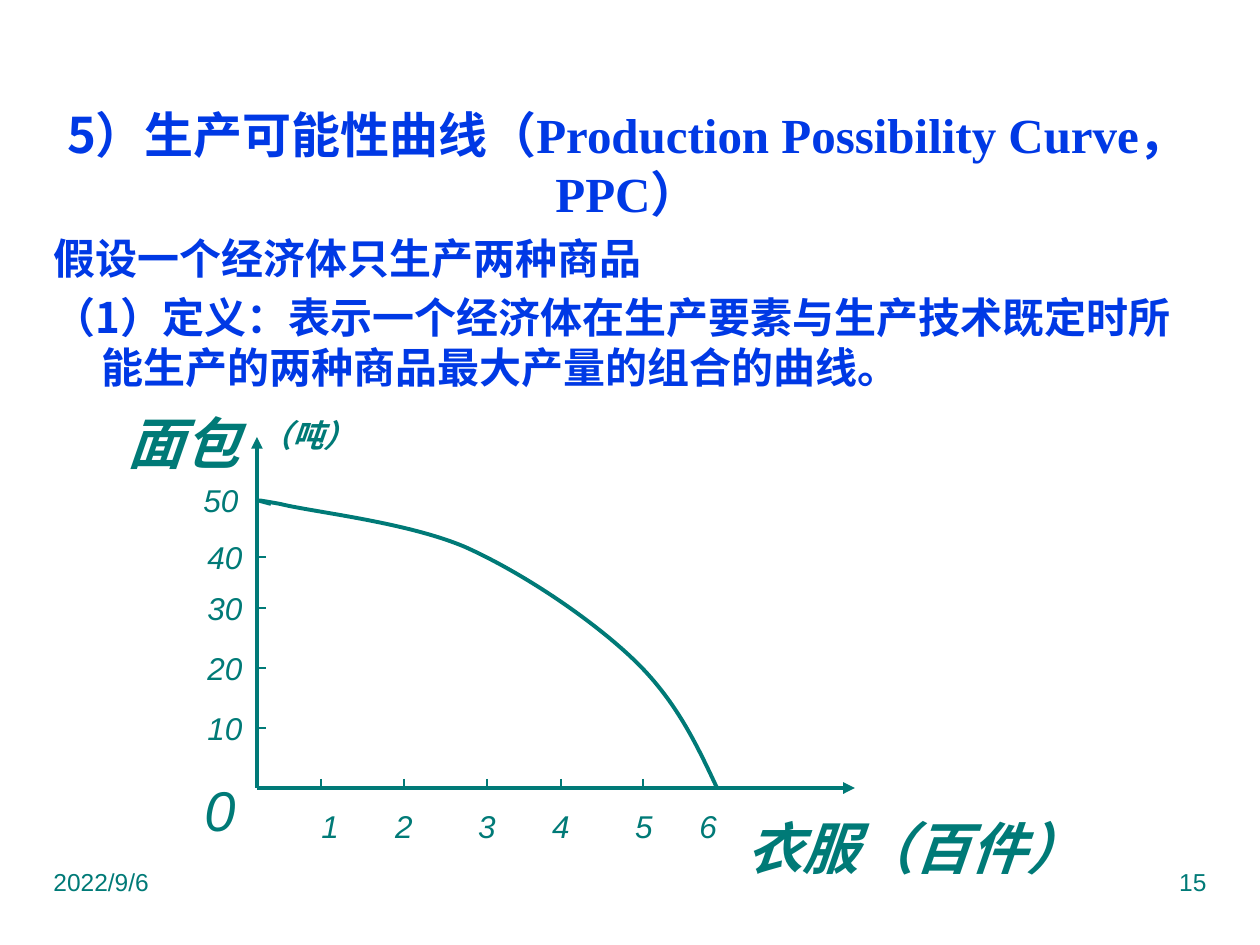
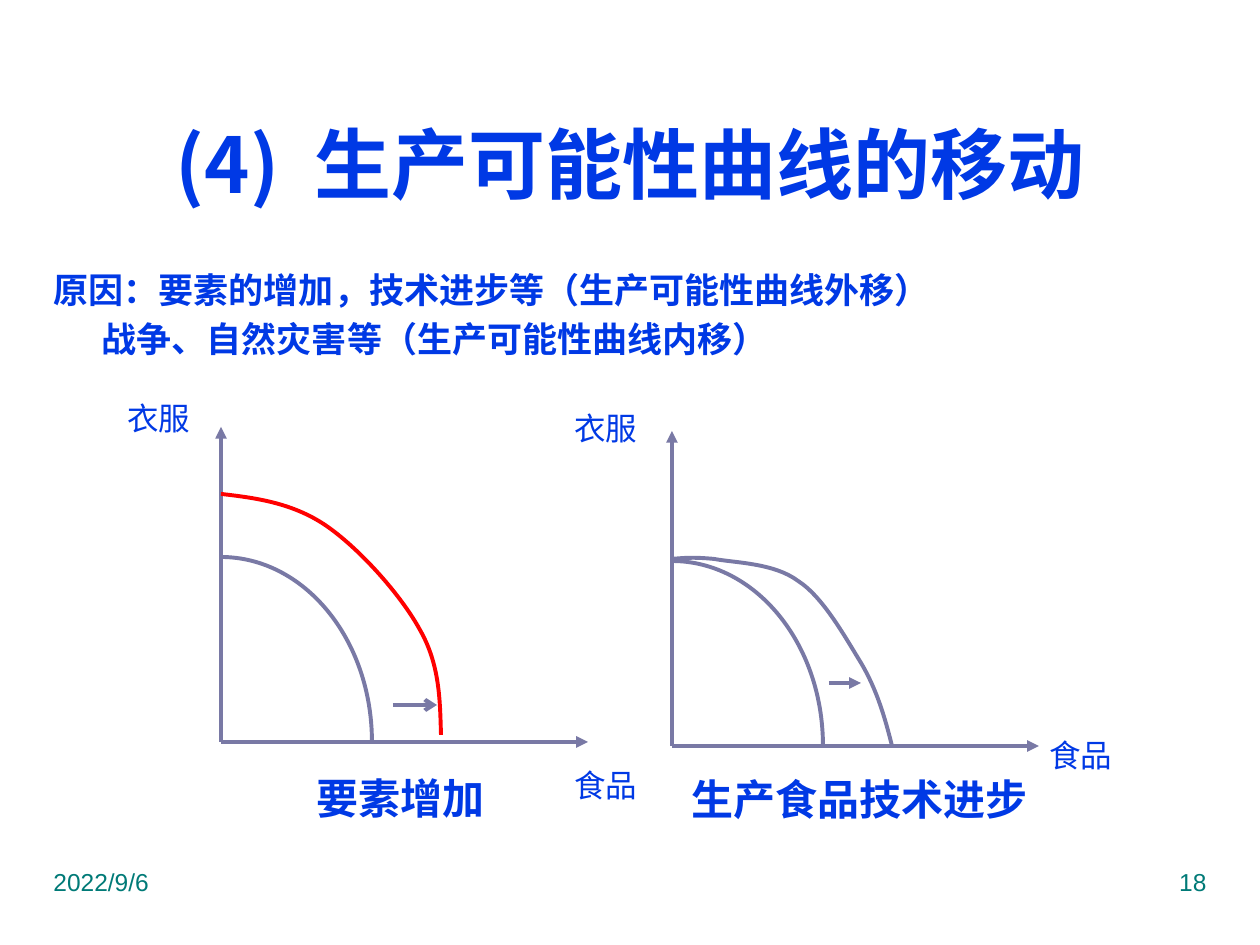
"""Build two slides about the production possibility curve."""
import pptx
import pptx.dml.color
import pptx.enum.shapes
import pptx.enum.text
import pptx.oxml
import pptx.oxml.ns
import pptx.util

PX = pptx.util.Inches(1) / 126
SHAPE = pptx.enum.shapes.MSO_SHAPE
ALIGN = pptx.enum.text.PP_ALIGN
ANCHOR = pptx.enum.text.MSO_ANCHOR
CJK, SANS, SERIF = "Noto Sans CJK SC", "Arial", "Times New Roman"
BLUE, TEAL, SLATE, RED = "0039E5", "007A77", "7979A5", "FF0000"
DATE = "2022/9/6"
INDENT = 48
LEADING = 1.2

HEAD = dict(name=CJK, bold=True, color=BLUE)
FOOTER = dict(name=SANS, size=14, color=TEAL)
NUMBER = dict(name=SANS, size=18, color=TEAL, italic=True)
ZERO = dict(NUMBER, size=32)
AXIS_NAME = dict(ZERO, bold=True)
UNIT = dict(NUMBER, bold=True)
GOODS = dict(name=SANS, size=18, color=BLUE)
CAPTION = dict(name=SERIF, size=24, bold=True, color=BLUE)

PPC = {
    "number": "15",
    "title": [("5）生产可能性曲线", {}),
              ("（Production Possibility Curve，PPC）", {"name": SERIF})],
    "title_box": (39, 108, 1177, 111),
    "title_format": {"size": 28},
    "title_spacing": pptx.util.Pt(28 * LEADING),
    "body": [("假设一个经济体只生产两种商品", -INDENT),
             ("（1）定义：表示一个经济体在生产要素与生产技术既定时所能生产的两种商品最大产量的组合的曲线。", -INDENT)],
    "body_box": (41, 226, 1177, 168),
    "body_size": 24,
    "align": ALIGN.LEFT,
}
SHIFT = {
    "number": "18",
    "title": [("(4)", {}), (" ", {"spacing": 10}), ("生产可能性曲线的移动", {})],
    "title_box": (42, 84, 1177, 158),
    "title_format": {"size": 44},
    "title_spacing": None,
    "body": [("原因：要素的增加，技术进步等（生产可能性曲线外移）", -INDENT),
             ("战争、自然灾害等（生产可能性曲线内移）", 0)],
    "body_box": (41, 262, 1177, 578),
    "body_size": 20,
    "align": ALIGN.JUSTIFY,
}

ORIGIN = (257, 788)
CLOTHES_TICKS = [321, 404, 487, 561, 643]
CLOTHES_LABELS = [330, 404, 487, 561, 644, 708]
BREAD_TICKS = {"10": 728, "20": 668, "30": 608, "40": 557}
PPC_CURVE = [(271, 504), (260, 501), (247, 498), (280, 504), (312, 512), (406, 522), (465, 547),
             (523, 573), (591, 619), (633, 659), (675, 699), (696, 743), (717, 788)]
PPC_LABELS = [
    (SHAPE.RECTANGLE, "衣服（百件）", (915, 847), (212, 86), AXIS_NAME),
    (SHAPE.RECTANGLE, "面包", (184, 442), (111, 77), AXIS_NAME),
    (SHAPE.RECTANGLE, "（吨）", (308, 435), (83, 43), UNIT),
    (SHAPE.OVAL, "0", (220, 809), (55, 59), ZERO),
    (SHAPE.OVAL, "50", (221, 500), (46, 34), NUMBER),
]

SHIFT_GRAPHS = [
    {"origin": (221, 742), "color": RED,
     "outer": [(221, 494), (256, 498), (292, 503), (325, 525), (359, 548), (401, 595),
               (420, 630), (440, 665), (440, 701), (441, 735)],
     "arrow": ((393, 705), (437, 705), "arrow"),
     "caption": ("要素增加", (304, 766, 242, 63)),
     "goods": {"衣服": (159, 418), "食品": (606, 785)}},
    {"origin": (672, 746), "color": SLATE,
     "outer": [(672, 559), (683, 558), (693, 557), (714, 559), (735, 563), (774, 563), (798, 581),
               (823, 597), (845, 637), (861, 663), (877, 690), (885, 718), (892, 746)],
     "arrow": ((829, 683), (861, 683), "triangle"),
     "caption": ("生产食品技术进步", (679, 767, 367, 64)),
     "goods": {"衣服": (606, 428), "食品": (1081, 755)}},
]


def emu(*lengths):
    return [round(n * PX) for n in lengths]


def rgb(color):
    return pptx.dml.color.RGBColor.from_string(color)


def element(tag, **attrs):
    el = pptx.oxml.parse_xml(f"<a:{tag} {pptx.oxml.ns.nsdecls('a')}/>")
    for key, value in attrs.items():
        el.set(key, value)
    return el


def add_run(p, text, fmt):
    r = p.add_run()
    r.text = text
    for key, value in fmt.items():
        if key == "color":
            r.font.color.rgb = rgb(value)
        elif key == "spacing":
            r.font._element.set("spc", str(value * 100))
        else:
            setattr(r.font, key, pptx.util.Pt(value) if key == "size" else value)
    r.font._element.find(pptx.oxml.ns.qn("a:latin")).addnext(element("ea", typeface=CJK))


def place(sp, box):
    for key, value in zip(("left", "top", "width", "height"), emu(*box)):
        setattr(sp, key, value)


def format_frame(tf, **values):
    values = {"auto_size": pptx.enum.text.MSO_AUTO_SIZE.NONE, "word_wrap": True, **values}
    for key, value in values.items():
        setattr(tf, key, value)
    return tf


def add_text(s, text, box, fmt, align=ALIGN.LEFT):
    tf = format_frame(s.shapes.add_textbox(*emu(*box)).text_frame)
    p = tf.paragraphs[0]
    p.alignment = align
    add_run(p, text, fmt)
    return p


def add_label(s, kind, text, center, size, fmt):
    box = (center[0] - size[0] / 2, center[1] - size[1] / 2, *size)
    if kind == SHAPE.RECTANGLE:
        sp = s.shapes.add_textbox(*emu(*box))
    else:
        sp = s.shapes.add_shape(kind, *emu(*box))
        sp.shadow.inherit = False
        sp.fill.background()
        sp.line.fill.background()
    tf = format_frame(sp.text_frame, word_wrap=False, vertical_anchor=ANCHOR.MIDDLE)
    tf.paragraphs[0].alignment = ALIGN.CENTER
    add_run(tf.paragraphs[0], text, fmt)


def add_line(s, start, end, color, width=2.25, head=None):
    c = s.shapes.add_connector(pptx.enum.shapes.MSO_CONNECTOR.STRAIGHT, *emu(*start, *end))
    c.line.color.rgb = rgb(color)
    c.line.width = pptx.util.Pt(width)
    if head:
        c.line._get_or_add_ln().append(element("tailEnd", type=head))
    c._element.spPr.append(element("effectLst"))


def add_axes(s, origin, right, top, color):
    add_line(s, origin, (right, origin[1]), color, head="triangle")
    add_line(s, origin, (origin[0], top), color, head="triangle")


def add_curve(s, knots, color):
    builder = s.shapes.build_freeform(*emu(*knots[0]))
    builder.add_line_segments([emu(*knot) for knot in knots[1:]], close=False)
    sp = builder.convert_to_shape()
    lines = list(sp._element.iter(pptx.oxml.ns.qn("a:lnTo")))
    for i in range(0, len(lines), 3):
        cubic = element("cubicBezTo")
        lines[i].addprevious(cubic)
        for line in lines[i:i + 3]:
            cubic.append(line[0])
            line.getparent().remove(line)
    sp.shadow.inherit = False
    sp.fill.background()
    sp.line.color.rgb = rgb(color)
    sp.line.width = pptx.util.Pt(2.25)


def add_slide(prs, content):
    s = prs.slides.add_slide(prs.slide_layouts[1])
    title, body = s.placeholders
    place(title, content["title_box"])
    p = format_frame(title.text_frame, vertical_anchor=ANCHOR.MIDDLE).paragraphs[0]
    p.alignment = ALIGN.CENTER
    p.line_spacing = content["title_spacing"]
    for text, fmt in content["title"]:
        add_run(p, text, {**HEAD, **content["title_format"], **fmt})

    place(body, content["body_box"])
    tf = format_frame(body.text_frame, vertical_anchor=ANCHOR.TOP)
    size = content["body_size"]
    for i, (text, indent) in enumerate(content["body"]):
        p = tf.add_paragraph() if i else tf.paragraphs[0]
        p.alignment = content["align"]
        p.line_spacing = pptx.util.Pt(LEADING * size)
        p.space_before = pptx.util.Pt(0.2 * size if i else 0)
        pPr = p._p.get_or_add_pPr()
        pPr.set("marL", str(emu(INDENT)[0]))
        pPr.set("indent", str(emu(indent)[0]))
        pPr.append(element("buNone"))
        add_run(p, text, dict(HEAD, size=size))

    add_text(s, DATE, (41, 861, 315, 66), FOOTER)
    add_text(s, content["number"], (904, 861, 315, 66), FOOTER, ALIGN.RIGHT)
    return s


def draw_ppc(s):
    x, y = ORIGIN
    add_axes(s, ORIGIN, 855, 437, TEAL)
    add_curve(s, PPC_CURVE, TEAL)
    for tick in CLOTHES_TICKS:
        add_line(s, (tick, y - 9), (tick, y), TEAL, 0.75)
    for n, center in enumerate(CLOTHES_LABELS, 1):
        add_label(s, SHAPE.RECTANGLE, str(n), (center, 826), (74, 59), NUMBER)
    for text, tick in BREAD_TICKS.items():
        add_line(s, (x, tick), (x + 9, tick), TEAL, 0.75)
        add_label(s, SHAPE.OVAL, text, (225, tick), (46, 34), NUMBER)
    for label in PPC_LABELS:
        add_label(s, *label)


def draw_shift(s, graph):
    x, y = graph["origin"]
    top = y - 185
    add_axes(s, (x, y), x + 367, y - 315, SLATE)
    add_curve(s, [(x, top), (x + 83, top), (x + 151, top + 82), (x + 151, y)], SLATE)
    add_curve(s, graph["outer"], graph["color"])
    start, end, head = graph["arrow"]
    add_line(s, start, end, SLATE, head=head)
    p = add_text(s, *graph["caption"], CAPTION)
    p.line_spacing = pptx.util.Pt(LEADING * CAPTION["size"])
    for text, center in graph["goods"].items():
        add_label(s, SHAPE.OVAL, text, center, (69, 69), GOODS)


def main():
    prs = pptx.Presentation()
    prs.slide_width, prs.slide_height = emu(1260, 945)
    draw_ppc(add_slide(prs, PPC))
    s = add_slide(prs, SHIFT)
    for graph in SHIFT_GRAPHS:
        draw_shift(s, graph)
    prs.save("out.pptx")


if __name__ == "__main__":
    main()
